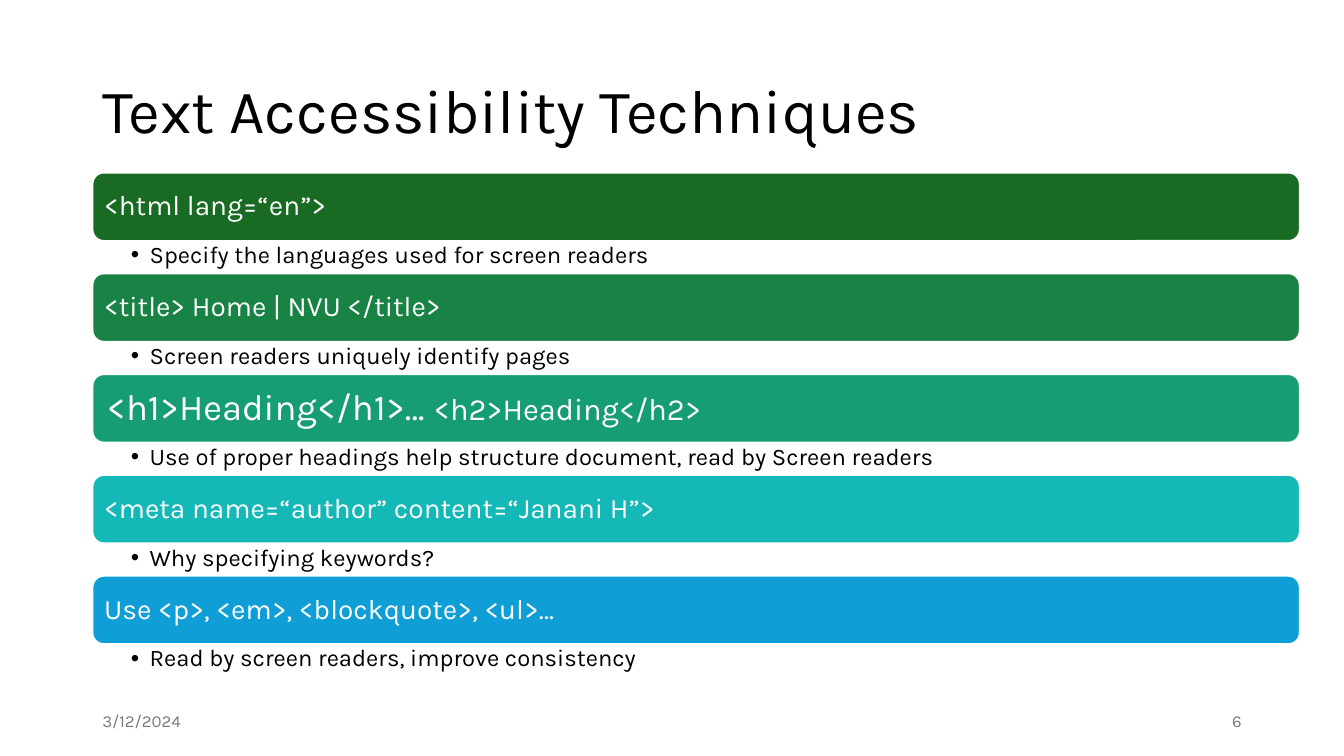
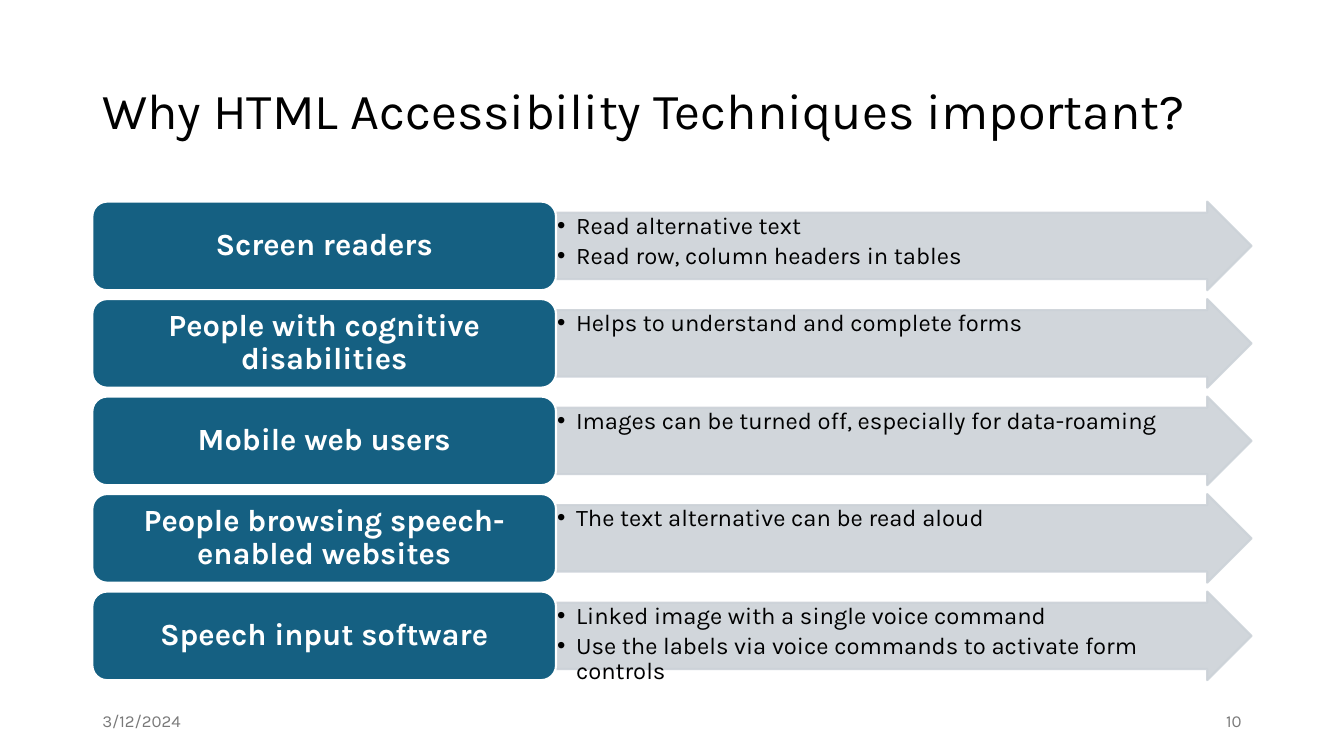
from dataclasses import dataclass

from lxml import etree
from pptx import Presentation
from pptx.dml.color import RGBColor
from pptx.enum import shapes, text
from pptx.oxml import ns
from pptx.util import Pt


@dataclass(frozen=True)
class Theme:
    font: str = "Karla"
    # Colours
    ink: str = "000000"
    paper: str = "FFFFFF"
    muted: str = "797979"
    label: str = "156082"
    arrow: str = "CCD2D8"
    bars: tuple = ("196B24", "198345", "179D76", "14B8B7", "0F9ED5")
    # Type sizes and line weight
    bar_size: float = 20
    label_size: float = 22
    bullet_size: float = 17
    footer_size: float = 12
    outline: float = 1.5
    # Shared margins
    left: float = 66
    width: float = 828


THEME = Theme()
SHAPE = shapes.MSO_SHAPE
ALIGN = text.PP_ALIGN
ANCHOR = text.MSO_ANCHOR

# Each bar: (text, size) spans, inset, bullet below
TECHNIQUES = [
    ([("<html lang=“en”>", THEME.bar_size)], 6,
     "Specify the languages used for screen readers"),
    ([("<title> Home | NVU </title>", THEME.bar_size)], 6,
     "Screen readers uniquely identify pages"),
    ([("<h1>Heading</h1>… ", 26), ("<h2>Heading</h2>", 22)], 8,
     "Use of proper headings help structure document, read by Screen readers"),
    ([("<meta name=“author” content=“Janani H”>", THEME.bar_size)], 6,
     "Why specifying keywords?"),
    ([("Use <p>, <em>, <blockquote>, <ul>…", THEME.bar_size)], 6,
     "Read by screen readers, improve consistency"),
]

AUDIENCES = [
    ("Screen readers",
     ["Read alternative text", "Read row, column headers in tables"]),
    ("People with cognitive disabilities",
     ["Helps to understand and complete forms"]),
    ("Mobile web users",
     ["Images can be turned off, especially for data-roaming"]),
    ("People browsing speech-enabled websites",
     ["The text alternative can be read aloud"]),
    ("Speech input software",
     ["Linked image with a single voice command",
      "Use the labels via voice commands to activate form controls"]),
]


# Text helpers
def style_span(span, size, color, bold=False):
    span.font.name = THEME.font
    span.font.size = Pt(size)
    span.font.bold = bold
    span.font.color.rgb = RGBColor.from_string(color)


def style_para(para, size, color, align=ALIGN.LEFT, spacing=0.9, bold=False):
    para.alignment = align
    para.line_spacing = spacing
    for span in para.runs:
        style_span(span, size, color, bold)


def set_frame(frame, anchor, across, down):
    frame.word_wrap = True
    frame.auto_size = text.MSO_AUTO_SIZE.NONE
    frame.vertical_anchor = anchor
    frame.margin_left = frame.margin_right = Pt(across)
    frame.margin_top = frame.margin_bottom = Pt(down)


def write_bullets(frame, lines):
    frame.text = "\n".join(lines)
    for para in frame.paragraphs:
        style_para(para, THEME.bullet_size, THEME.ink)
        para.space_after = Pt(3)
        props = para._p.get_or_add_pPr()
        props.set("marL", str(Pt(13.5)))
        props.set("indent", str(-Pt(13.5)))
        etree.SubElement(props, ns.qn("a:buFont"), typeface="Arial")
        etree.SubElement(props, ns.qn("a:buChar"), char="•")


# Element helpers
def add_box(page, left, top, width, height):
    return page.shapes.add_textbox(Pt(left), Pt(top), Pt(width), Pt(height))


def add_block(page, kind, left, top, width, height, fill, line):
    block = page.shapes.add_shape(kind, Pt(left), Pt(top), Pt(width), Pt(height))
    block.shadow.inherit = False
    block.fill.solid()
    block.fill.fore_color.rgb = RGBColor.from_string(fill)
    block.line.color.rgb = RGBColor.from_string(line)
    block.line.width = Pt(THEME.outline)
    return block


def set_opacity(block, percent):
    for color in block._element.spPr.iter(ns.qn("a:srgbClr")):
        etree.SubElement(color, ns.qn("a:alpha"), val=str(percent * 1000))


def add_footer(page, left, words, align):
    box = add_box(page, left, 500.5, 216, 28.75)
    set_frame(box.text_frame, ANCHOR.MIDDLE, 7.2, 3.6)
    box.text_frame.text = words
    style_para(box.text_frame.paragraphs[0], THEME.footer_size, THEME.muted,
               align, spacing=1)


def add_page(deck, title, title_size, number):
    page = deck.slides.add_slide(deck.slide_layouts[5])
    heading = page.shapes.title
    heading.left, heading.top = Pt(THEME.left), Pt(28.75)
    heading.width, heading.height = Pt(THEME.width), Pt(104.4)
    set_frame(heading.text_frame, ANCHOR.MIDDLE, 7.2, 3.6)
    heading.text_frame.text = title
    style_para(heading.text_frame.paragraphs[0], title_size, THEME.ink)
    add_footer(page, THEME.left, "3/12/2024", ALIGN.LEFT)
    add_footer(page, THEME.left + THEME.width - 216, number, ALIGN.RIGHT)
    return page


# Coloured bar with a bullet under it
def add_technique(page, top, color, spans, inset, note):
    width, bar_height, note_height = 862.5, 49, 23
    bar = add_block(page, SHAPE.ROUNDED_RECTANGLE, THEME.left, top, width,
                    bar_height, color, THEME.paper)
    set_frame(bar.text_frame, ANCHOR.MIDDLE, inset, inset)
    para = bar.text_frame.paragraphs[0]
    style_para(para, THEME.bar_size, THEME.paper)
    for words, size in spans:
        span = para.add_run()
        span.text = words
        style_span(span, size, THEME.paper)
    box = add_box(page, THEME.left, top + bar_height, width, note_height)
    set_frame(box.text_frame, ANCHOR.TOP, 9.4, 1.5)
    box.text_frame.margin_left = Pt(27.4)
    write_bullets(box.text_frame, [note])


# Label on the left with an arrow of bullets on the right
def add_audience(page, top, height, name, reasons):
    label_width = THEME.width * 0.4
    arrow = add_block(page, SHAPE.RIGHT_ARROW, THEME.left + label_width, top,
                      THEME.width - label_width, height, THEME.arrow, THEME.arrow)
    arrow.adjustments[0] = 0.75
    arrow.adjustments[1] = 0.5
    set_opacity(arrow, 90)
    set_frame(arrow.text_frame, ANCHOR.TOP, 0.8, 0.8)
    write_bullets(arrow.text_frame, reasons)

    label = add_block(page, SHAPE.ROUNDED_RECTANGLE, THEME.left, top,
                      label_width, height, THEME.label, THEME.paper)
    set_frame(label.text_frame, ANCHOR.MIDDLE, 6.6, 3.3)
    label.text_frame.text = name
    style_para(label.text_frame.paragraphs[0], THEME.label_size, THEME.paper,
               ALIGN.CENTER, bold=True)


def main():
    deck = Presentation()
    deck.slide_width, deck.slide_height = Pt(960), Pt(540)

    page = add_page(deck, "Text Accessibility Techniques", 44, "6")
    for row, (color, technique) in enumerate(zip(THEME.bars, TECHNIQUES)):
        add_technique(page, 123.2 + row * 72, color, *technique)

    page = add_page(deck, "Why HTML Accessibility Techniques important?", 36, "10")
    height = 63.3
    for row, audience in enumerate(AUDIENCES):
        add_audience(page, 144 + row * height * 1.1, height, *audience)

    deck.save("out.pptx")


if __name__ == "__main__":
    main()
